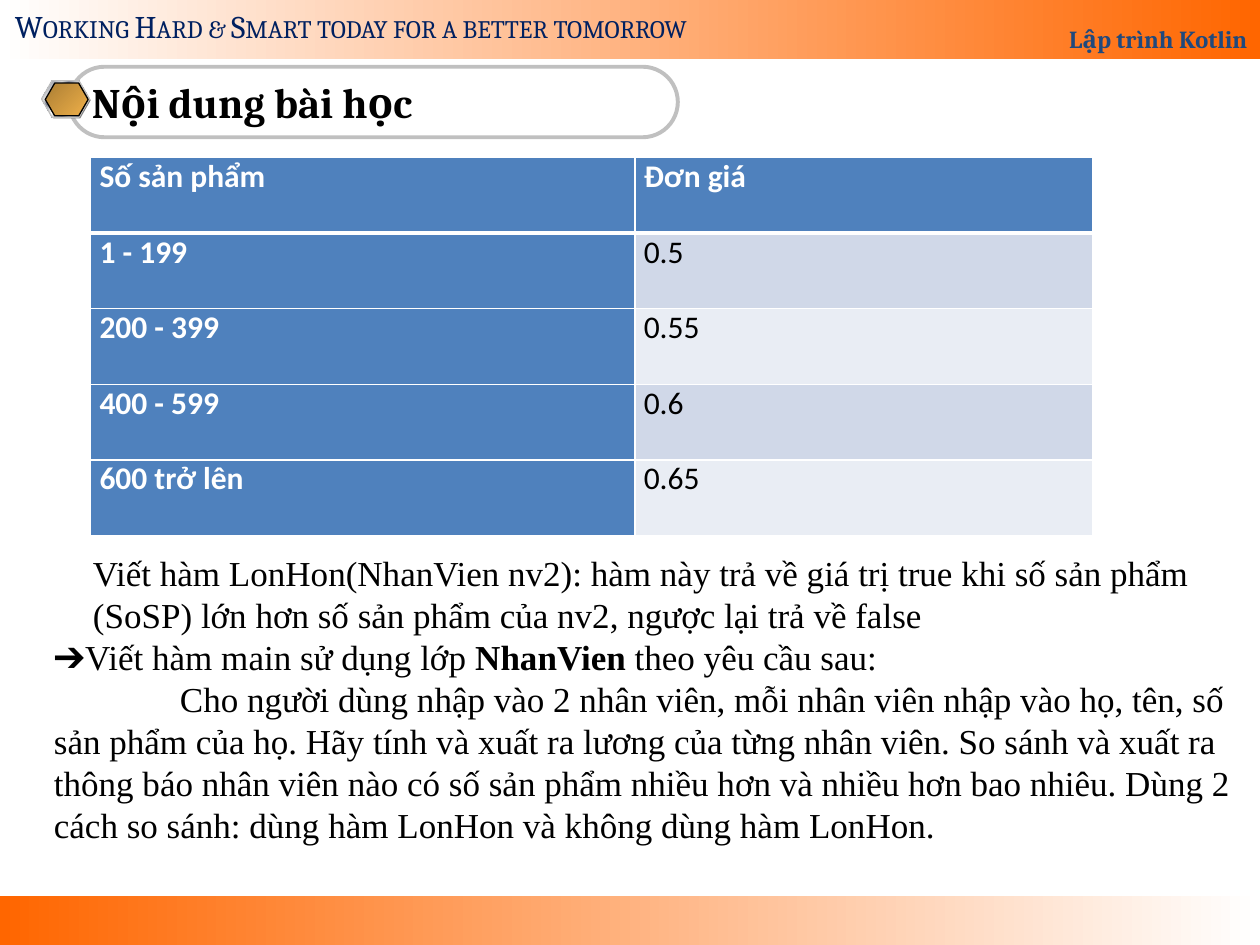
from lxml.etree import SubElement as Sub
from pptx import Presentation
from pptx.dml.color import RGBColor
from pptx.enum.shapes import MSO_SHAPE as Kind
from pptx.enum.text import MSO_ANCHOR as Anchor, MSO_AUTO_SIZE as Fit, PP_ALIGN as Align
from pptx.oxml.ns import qn
from pptx.util import Inches, Pt


def color(code):
    return RGBColor.from_string(code)


class Deck:
    head = "Cambria"
    body = "Times New Roman"
    grid = "Calibri"
    blue = "4F81BD"
    bands = ("D0D8E8", "E9EDF4")

    def __init__(self):
        self.file = Presentation()
        self.file.slide_width, self.file.slide_height = Inches(10), Inches(7.5)
        self.slide = self.file.slides.add_slide(self.file.slide_layouts[6])

    def run(self, para, text, font, size, code="000000", bold=False):
        run = para.add_run()
        run.text = text
        run.font.name, run.font.size, run.font.bold = font, Pt(size), bold
        run.font.color.rgb = color(code)
        return run

    def shape(self, home, kind, box, fill=None, line=None, width=0.75, adj=()):
        item = home.add_shape(kind, *map(Inches, box))
        item.shadow.inherit = False
        for i, value in enumerate(adj):
            item.adjustments[i] = value
        if fill:
            item.fill.solid()
            item.fill.fore_color.rgb = color(fill)
        else:
            item.fill.background()
        if line:
            item.line.color.rgb = color(line)
            item.line.width = Pt(width)
        else:
            item.line.fill.background()
        return item

    def fade(self, item, stops, angle=0):
        item.fill.gradient()
        item.fill.gradient_angle = -angle % 360
        row = item._element.spPr.find(".//" + qn("a:gsLst"))
        for old in list(row):
            row.remove(old)
        for spot, code in stops:
            stop = Sub(row, qn("a:gs"), pos=str(spot * 1000))
            Sub(stop, qn("a:srgbClr"), val=code)

    def text(self, box, wrap=True):
        frame = self.slide.shapes.add_textbox(*map(Inches, box)).text_frame
        frame.word_wrap = wrap
        frame.auto_size = Fit.SHAPE_TO_FIT_TEXT
        return frame

    def edges(self, cell, base):
        props = cell._tc.get_or_add_tcPr()
        for side in "LRTB":
            width = base if side == "B" else 1
            line = Sub(props, qn("a:ln" + side), w=str(Pt(width)))
            Sub(Sub(line, qn("a:solidFill")), qn("a:srgbClr"), val="FFFFFF")

    def table(self, box, cols, rows):
        table = self.slide.shapes.add_table(len(rows), len(cols), *map(Inches, box)).table
        table.first_col = True
        for col, width in zip(table.columns, cols):
            col.width = Inches(width)
        for r, row in enumerate(rows):
            for c, text in enumerate(row):
                cell = table.cell(r, c)
                key = r == 0 or c == 0
                cell.margin_left = cell.margin_right = Inches(0.07)
                cell.margin_top = cell.margin_bottom = 0
                self.edges(cell, 1 if r else 3)
                cell.fill.solid()
                cell.fill.fore_color.rgb = color(self.blue if key else self.bands[(r - 1) % 2])
                code = "FFFFFF" if key else "000000"
                self.run(cell.text_frame.paragraphs[0], text, self.grid, 18, code, key)


def main():
    deck = Deck()
    root = deck.slide.shapes

    base = deck.shape(root, Kind.RECTANGLE, (0, 7.11, 10, 0.39))
    deck.fade(base, [(0, "FF6600"), (100, "FFFFFF")])
    top = deck.shape(root, Kind.RECTANGLE, (0, -0.06, 10, 0.53))
    deck.fade(top, [(0, "FFFFFF"), (100, "FF6600")])
    top.text_frame.vertical_anchor = Anchor.BOTTOM
    para = top.text_frame.paragraphs[0]
    para.alignment, para.line_spacing = Align.RIGHT, 1.8
    deck.run(para, "Lập trình Kotlin", deck.head, 14, "1F497D", True)

    motto = deck.text((0.02, 0.01, 5.9, 0.4), False).paragraphs[0]
    run = deck.run(motto, "Working Hard & Smart today for a better tomorrow", deck.head, 18, "002060")
    run.font._element.set("cap", "small")

    group = root.add_group_shape().shapes
    title = deck.shape(group, Kind.ROUNDED_RECTANGLE, (0.55, 0.53, 4.83, 0.56),
                       line="C0C0C0", width=2.25, adj=(0.5,))
    title.text_frame.vertical_anchor = Anchor.MIDDLE
    para = title.text_frame.paragraphs[0]
    para.alignment = Align.LEFT
    deck.run(para, "Nội dung bài học", deck.head, 24, bold=True)

    hexa = (0.289, 1.155)
    deck.shape(group, Kind.HEXAGON, (0.34, 0.65, 0.38, 0.29), "808080", adj=hexa)
    rim = deck.shape(group, Kind.HEXAGON, (0.33, 0.64, 0.38, 0.29), line="C0C0C0", adj=hexa)
    pale, dark = "E6E6E6", "7D8496"
    deck.fade(rim, [(0, pale), (7, dark), (26, pale), (34, dark), (46, pale), (50, "FFFFFF"),
                    (54, pale), (66, dark), (74, pale), (93, dark), (100, pale)], 45)
    gold = deck.shape(group, Kind.HEXAGON, (0.36, 0.66, 0.34, 0.26), line="000000", adj=hexa)
    deck.fade(gold, [(0, "AB7E34"), (100, "EFB049")], 45)

    deck.table((0.72, 1.25, 7.95, 3), (4.32, 3.63), [
        ("Số sản phẩm", "Đơn giá"),
        ("1 - 199", "0.5"),
        ("200 - 399", "0.55"),
        ("400 - 599", "0.6"),
        ("600 trở lên", "0.65"),
    ])

    frame = deck.text((0.33, 4.33, 9.56, 2.46))
    tasks = [
        [("Viết hàm LonHon(NhanVien nv2): hàm này trả về giá trị true khi số sản phẩm "
          "(SoSP) lớn hơn số sản phẩm của nv2, ngược lại trả về false", False)],
        [("➔Viết hàm main sử dụng lớp ", False), ("NhanVien ", True),
         ("theo yêu cầu sau:", False)],
        [("\tCho người dùng nhập vào 2 nhân viên, mỗi nhân viên nhập vào họ, tên, số "
          "sản phẩm của họ. Hãy tính và xuất ra lương của từng nhân viên. So sánh và xuất ra "
          "thông báo nhân viên nào có số sản phẩm nhiều hơn và nhiều hơn bao nhiêu. Dùng 2 "
          "cách so sánh: dùng hàm LonHon và không dùng hàm LonHon.", False)],
    ]
    for i, runs in enumerate(tasks):
        para = frame.add_paragraph() if i else frame.paragraphs[0]
        props = para._p.get_or_add_pPr()
        if i == 0:
            props.set("marL", str(Inches(0.31)))
        tabs = Sub(props, qn("a:tabLst"))
        Sub(tabs, qn("a:tab"), pos=str(Inches(1)), algn="l")
        for text, bold in runs:
            deck.run(para, text, deck.body, 20, bold=bold)

    deck.file.save("out.pptx")


if __name__ == "__main__":
    main()
